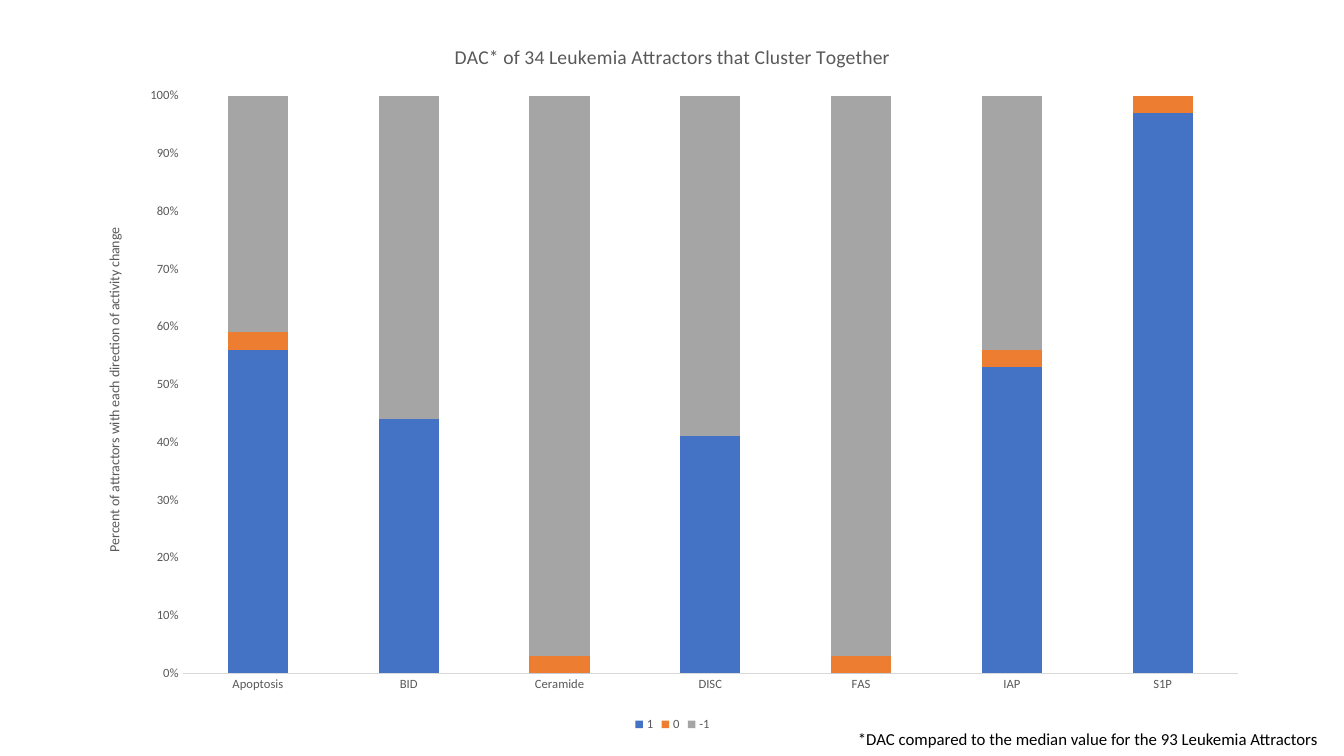
from lxml import etree
from pptx import Presentation
from pptx.chart.data import CategoryChartData
from pptx.dml.color import RGBColor
from pptx.enum.chart import XL_CHART_TYPE, XL_LEGEND_POSITION, XL_TICK_MARK
from pptx.oxml.ns import qn
from pptx.util import Inches, Pt

FONT = "Calibri"
COLORS = {"text": "000000", "label": "595959", "axis": "D9D9D9",
          "1": "4472C4", "0": "ED7D31", "-1": "A5A5A5"}

TITLE = "DAC* of 34 Leukemia Attractors that Cluster Together"
AXIS_TITLE = "Percent of attractors with each direction of activity change"
FOOTNOTE = "*DAC compared to the median value for the 93 Leukemia Attractors"

CATEGORIES = ["Apoptosis", "BID", "Ceramide", "DISC", "FAS", "IAP", "S1P"]
SERIES = {
    "1": [56, 44, 0, 41, 0, 53, 97],
    "0": [3, 0, 3, 0, 3, 3, 3],
    "-1": [41, 56, 97, 59, 97, 44, 0],
}
CHART_BOX = [0.82, 0.2, 11.7, 7.1]
PLOT_BOX = [1.81, 0.95, 10.47, 5.73]
FOOTNOTE_BOX = [8.41, 7.18, 5.92, 0.3]


def rgb(name):
    return RGBColor.from_string(COLORS[name])


def style_font(font, size, color="label"):
    font.name = FONT
    font.size = Pt(size)
    font.bold = False
    font.color.rgb = rgb(color)


def add_run(p, text, size, color="label"):
    r = p.add_run()
    r.text = text
    style_font(r.font, size, color)


def place_plot(chart):
    """Fix the inner plot area to PLOT_BOX, as fractions of the chart."""
    left, top, width, height = CHART_BOX
    x, y, w, h = PLOT_BOX
    plot_area = chart.plots[0]._element.getparent()
    for old in plot_area.findall(qn("c:layout")):
        plot_area.remove(old)
    layout = etree.Element(qn("c:layout"))
    manual = etree.SubElement(layout, qn("c:manualLayout"))
    settings = {"layoutTarget": "inner", "xMode": "edge", "yMode": "edge",
                "x": (x - left) / width, "y": (y - top) / height,
                "w": w / width, "h": h / height}
    for tag, val in settings.items():
        etree.SubElement(manual, qn(f"c:{tag}")).set("val", str(val))
    plot_area.insert(0, layout)


def add_dac_chart(slide):
    data = CategoryChartData(number_format="General")
    data.categories = CATEGORIES
    for name, values in SERIES.items():
        data.add_series(name, values)
    chart = slide.shapes.add_chart(XL_CHART_TYPE.COLUMN_STACKED_100,
                                   *map(Inches, CHART_BOX), data).chart
    style_font(chart.font, 10, "text")

    chart.has_title = True
    add_run(chart.chart_title.text_frame.paragraphs[0], TITLE, 14)
    chart.chart_title.include_in_layout = False

    plot = chart.plots[0]
    plot.gap_width, plot.overlap = 150, 100
    plot.vary_by_categories = False
    for series in plot.series:
        series.format.fill.solid()
        series.format.fill.fore_color.rgb = rgb(series.name)

    cat_axis, val_axis = chart.category_axis, chart.value_axis
    for axis in (cat_axis, val_axis):
        axis.major_tick_mark = axis.minor_tick_mark = XL_TICK_MARK.NONE
        axis.has_major_gridlines = False
        style_font(axis.tick_labels.font, 9)
    cat_axis.format.line.color.rgb = rgb("axis")
    cat_axis.format.line.width = Pt(0.75)
    val_axis.format.line.fill.background()
    val_axis.minimum_scale, val_axis.maximum_scale = 0, 1
    val_axis.major_unit = 0.1
    val_axis.tick_labels.number_format = "0%"
    val_axis.tick_labels.number_format_is_linked = False
    val_axis.has_title = True
    add_run(val_axis.axis_title.text_frame.paragraphs[0], AXIS_TITLE, 10)

    chart.has_legend = True
    chart.legend.position = XL_LEGEND_POSITION.BOTTOM
    chart.legend.include_in_layout = False
    style_font(chart.legend.font, 9)
    place_plot(chart)


def add_footnote(slide):
    tf = slide.shapes.add_textbox(*map(Inches, FOOTNOTE_BOX)).text_frame
    tf.word_wrap = True
    add_run(tf.paragraphs[0], FOOTNOTE, 12, "text")


def main():
    prs = Presentation()
    prs.slide_width, prs.slide_height = Inches(13.33), Inches(7.5)
    slide = prs.slides.add_slide(prs.slide_layouts[6])
    add_dac_chart(slide)
    add_footnote(slide)
    prs.save("out.pptx")


if __name__ == "__main__":
    main()
